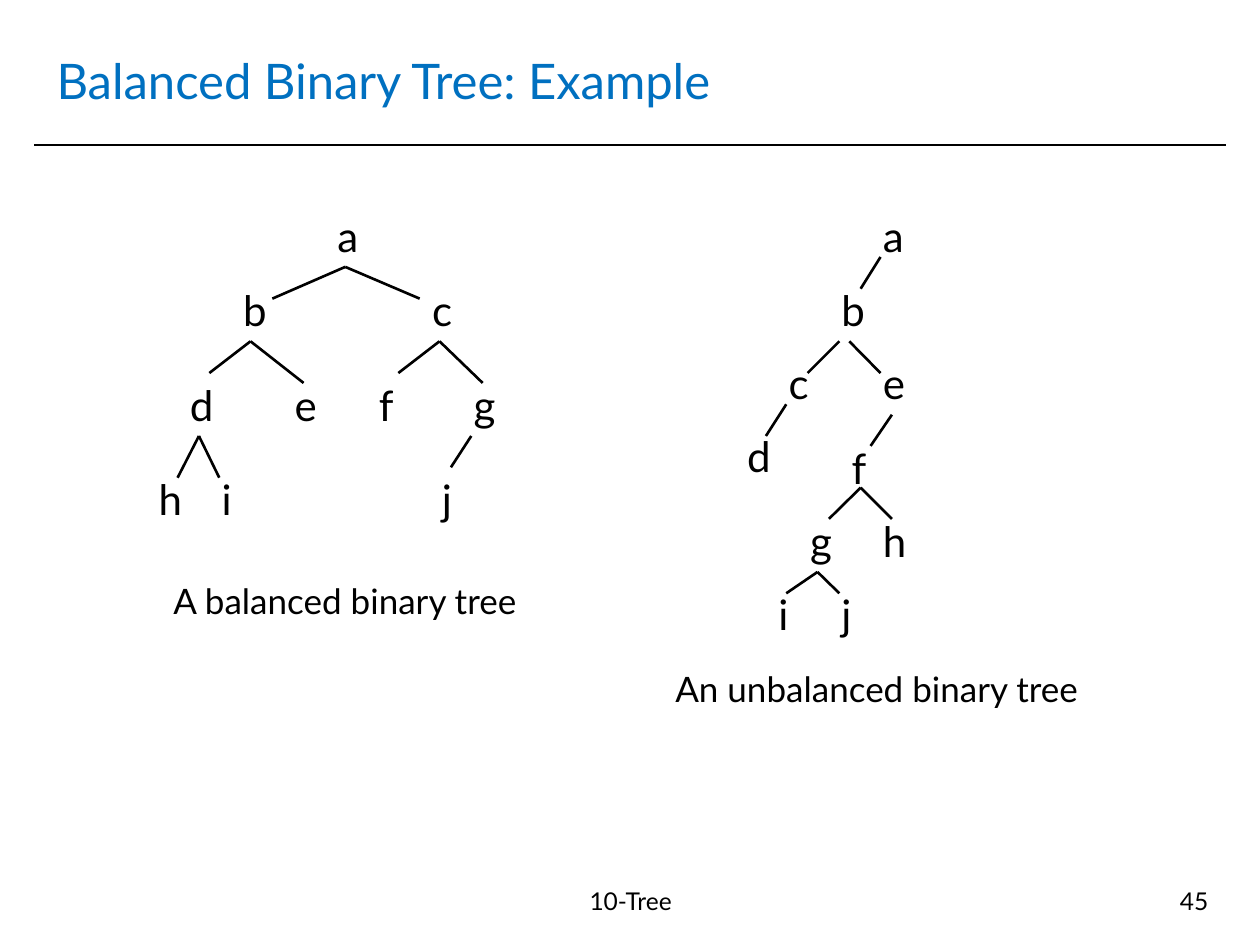
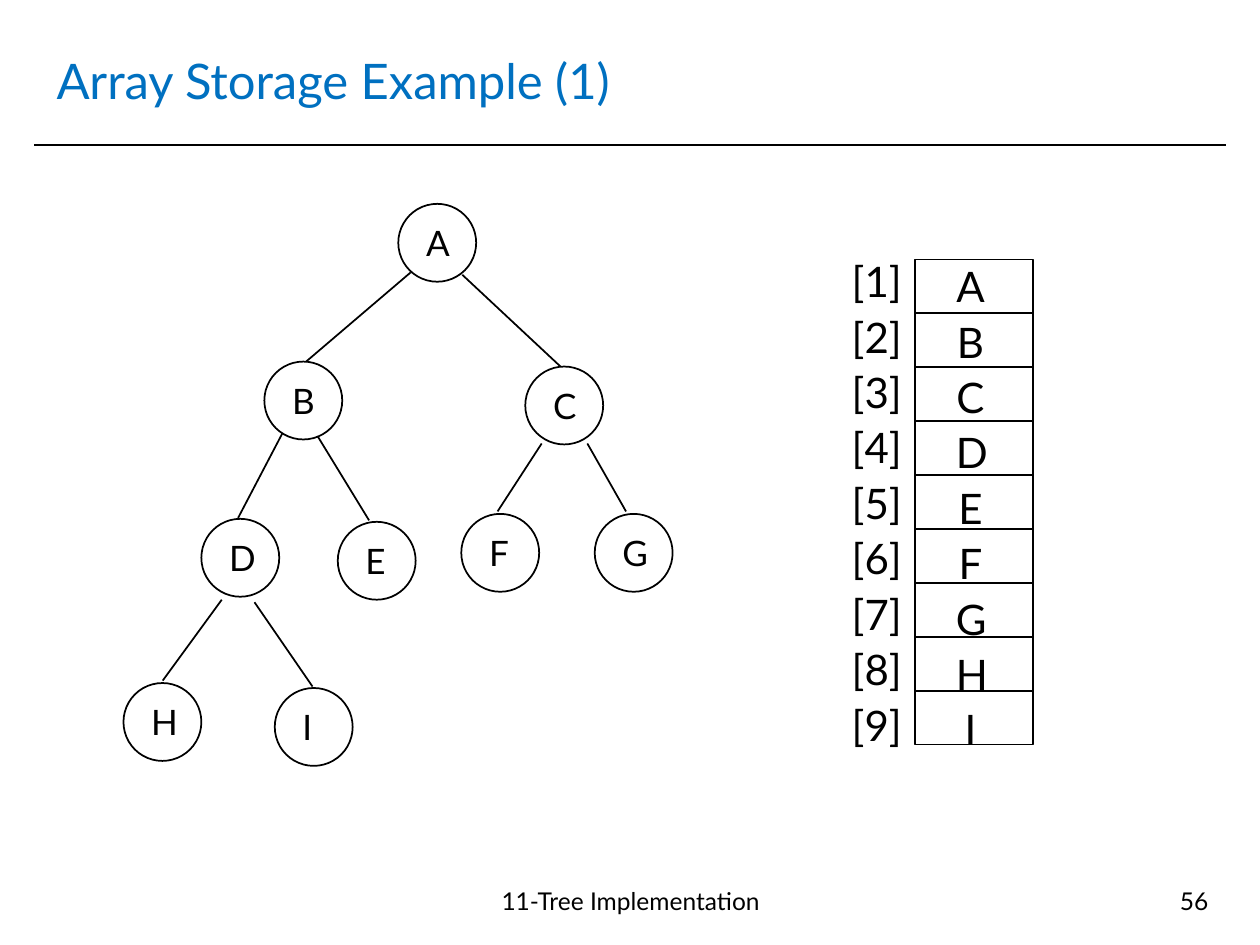
import pptx
import pptx.util
import pptx.dml.color
import pptx.enum.shapes
import pptx.enum.text
from lxml import etree

Cm, Pt = pptx.util.Cm, pptx.util.Pt
ALIGN = pptx.enum.text.PP_ALIGN
ANCHOR = pptx.enum.text.MSO_ANCHOR
SHAPE = pptx.enum.shapes.MSO_SHAPE

FONT = "Lato"
BLACK = pptx.dml.color.RGBColor(0x00, 0x00, 0x00)
BLUE = pptx.dml.color.RGBColor(0x00, 0x70, 0xC0)
DRAWING_NS = "http://schemas.openxmlformats.org/drawingml/2006/main"


def write(sp, lines, size, color=BLACK, align=ALIGN.LEFT, anchor=ANCHOR.TOP, spacing=None, wrap=True):
    """Fill a shape or text box with one paragraph per line."""
    tf = sp.text_frame
    tf.word_wrap = wrap
    tf.vertical_anchor = anchor
    tf.text = "\n".join(lines)
    for p in tf.paragraphs:
        p.alignment = align
        p.line_spacing = spacing
        p.font.name = FONT
        p.font.size = Pt(size)
        p.font.color.rgb = color


def add_line(s, start, end, width=1):
    line = s.shapes.add_connector(
        pptx.enum.shapes.MSO_CONNECTOR.STRAIGHT, *[Cm(v) for v in (*start, *end)])
    line.line.color.rgb = BLACK
    line.line.width = Pt(width)
    etree.SubElement(line._element.spPr, f"{{{DRAWING_NS}}}effectLst")


prs = pptx.Presentation()
prs.slide_width, prs.slide_height = Cm(25.4), Cm(19.05)

# Title, rule and footer of every slide
slides = []
for title, footer, number in [
    ("Balanced Binary Tree: Example", "10-Tree", "45"),
    ("Array Storage Example (1)", "11-Tree Implementation", "56"),
]:
    s = prs.slides.add_slide(prs.slide_layouts[6])
    add_line(s, (0.69, 2.92), (24.71, 2.92))
    sp = s.shapes.add_textbox(Cm(0.89), Cm(0.53), Cm(23.6), Cm(2.16))
    write(sp, [title], 28, BLUE, anchor=ANCHOR.MIDDLE)
    sp = s.shapes.add_textbox(Cm(8.51), Cm(17.73), Cm(8.41), Cm(1.32))
    write(sp, [footer], 14, align=ALIGN.CENTER)
    sp = s.shapes.add_textbox(Cm(18.69), Cm(17.73), Cm(5.92), Cm(1.32))
    write(sp, [number], 14, align=ALIGN.RIGHT)
    slides.append(s)
tree_slide, array_slide = slides

# Slide 1: letters by row (top, {letter: left}), branches as (fork, tips), caption
balanced = (
    [
        (4.11, {"a": 6.55}),
        (5.61, {"b": 4.65, "c": 8.46}),
        (7.52, {"d": 3.58, "e": 5.69, "f": 7.39, "g": 9.3}),
        (9.42, {"h": 2.95, "i": 4.22, "j": 8.66}),
    ],
    [
        ((6.96, 5.38), [(5.49, 6.02), (8.46, 6.02)]),
        ((5.05, 6.88), [(4.22, 7.52), (6.12, 7.72)]),
        ((8.86, 6.88), [(8.03, 7.52), (9.73, 7.72)]),
        ((4.01, 8.79), [(3.58, 9.63), (4.42, 9.63)]),
        ((9.5, 8.79), [(9.09, 9.42)]),
    ],
    ("A balanced binary tree", 2.18, 11.56),
)
unbalanced = (
    [
        (4.11, {"a": 17.55}),
        (5.61, {"b": 16.71}),
        (7.09, {"c": 15.65, "e": 17.55}),
        (8.56, {"d": 14.81}),
        (8.79, {"f": 16.92}),
        (10.26, {"g": 16.08, "h": 17.55}),
        (11.73, {"i": 15.44, "j": 16.71}),
    ],
    [
        ((17.75, 5.18), [(17.35, 5.82)]),
        ((16.92, 6.88), [(16.28, 7.52)]),
        ((17.12, 6.88), [(17.75, 7.52)]),
        ((15.85, 8.15), [(15.44, 8.79)]),
        ((17.98, 8.36), [(17.55, 8.99)]),
        ((17.35, 9.83), [(16.71, 10.46), (17.98, 10.46)]),
        ((16.48, 11.53), [(15.85, 11.96), (16.92, 11.96)]),
    ],
    ("An unbalanced binary tree", 12.9, 13.34),
)
for rows, branches, (caption, left, caption_top) in (balanced, unbalanced):
    for top, letters in rows:
        for letter, x in letters.items():
            sp = tree_slide.shapes.add_textbox(Cm(x), Cm(top), Cm(1.06), Cm(1.27))
            write(sp, [letter], 24)
    for fork, tips in branches:
        for tip in tips:
            add_line(tree_slide, fork, tip, 1.5)
    sp = tree_slide.shapes.add_textbox(Cm(left), Cm(caption_top), Cm(9.55), Cm(1.12))
    write(sp, [caption], 20, align=ALIGN.CENTER)

# Slide 2: tree of circled nodes
nodes = {
    "A": (8.03, 4.11),
    "B": (5.33, 7.29), "C": (10.59, 7.39),
    "D": (4.06, 10.46), "E": (6.81, 10.52), "F": (9.3, 10.36), "G": (11.99, 10.36),
    "H": (2.49, 13.77), "I": (5.54, 13.87),
}
for letter, (x, y) in nodes.items():
    sp = array_slide.shapes.add_shape(SHAPE.OVAL, Cm(x), Cm(y), Cm(1.57), Cm(1.57))
    sp.shadow.inherit = False
    sp.fill.background()
    sp.line.color.rgb = BLACK
    sp.line.width = Pt(1)
    write(sp, [letter], 20, anchor=ANCHOR.MIDDLE)
    tf = sp.text_frame
    tf.margin_left = Cm(0.33)
    tf.margin_right = tf.margin_top = tf.margin_bottom = 0

for start, end in [
    ((8.28, 5.49), (6.17, 7.29)),
    ((9.32, 5.54), (11.3, 7.39)),
    ((5.69, 8.74), (4.8, 10.44)),
    ((6.4, 8.79), (7.44, 10.49)),
    ((10.92, 8.94), (10.03, 10.31)),
    ((11.84, 8.94), (12.62, 10.31)),
    ((4.47, 12.09), (3.28, 13.72)),
    ((5.13, 12.14), (6.3, 13.84)),
]:
    add_line(array_slide, start, end)

# Slide 2: the array with its indices
left, top, width, height = 18.44, 5.23, 2.39, 9.78
sp = array_slide.shapes.add_shape(SHAPE.RECTANGLE, Cm(left), Cm(top), Cm(width), Cm(height))
sp.shadow.inherit = False
sp.fill.background()
sp.line.color.rgb = BLACK
sp.line.width = Pt(1)
for i in range(1, len(nodes) + 1):
    y = top + i * height / len(nodes)
    add_line(array_slide, (left, y), (left + width, y))

indices = [f"[{i}]" for i in range(1, len(nodes) + 1)]
sp = array_slide.shapes.add_textbox(Cm(16.92), Cm(4.93), Cm(1.65), Cm(10.41))
write(sp, indices, 24, spacing=1.1, wrap=False)
sp = array_slide.shapes.add_textbox(Cm(19.02), Cm(5.03), Cm(1.09), Cm(10.41))
write(sp, list(nodes), 24, align=ALIGN.CENTER, spacing=1.1, wrap=False)

prs.save("out.pptx")
